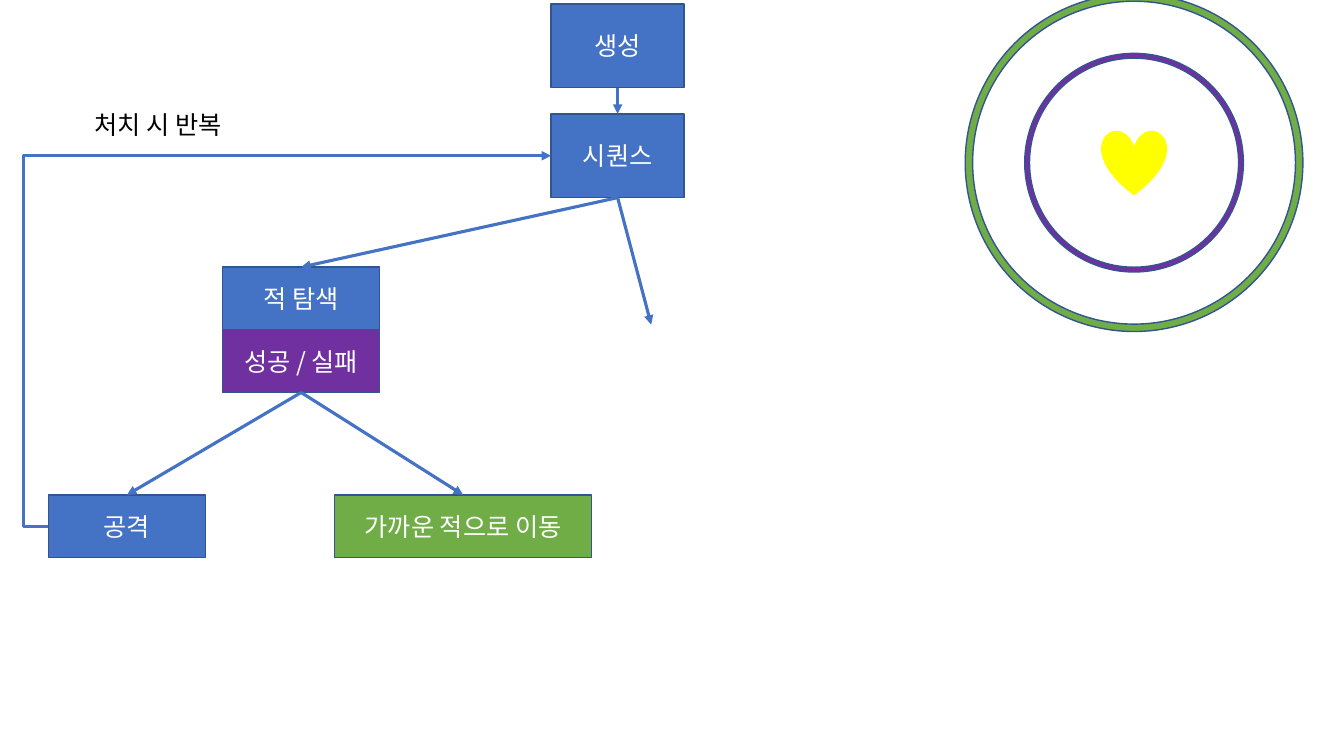
from pptx import Presentation
from pptx.dml.color import RGBColor
from pptx.enum.shapes import MSO_CONNECTOR, MSO_SHAPE
from pptx.enum.text import MSO_ANCHOR, MSO_AUTO_SIZE, PP_ALIGN
from pptx.oxml.ns import qn
from pptx.util import Cm, Pt
from lxml.etree import SubElement

BLUE = RGBColor(0x44, 0x72, 0xC4)
NAVY = RGBColor(0x32, 0x54, 0x91)
PURPLE = RGBColor(0x70, 0x30, 0xA0)
GREEN = RGBColor(0x70, 0xAD, 0x47)
YELLOW = RGBColor(0xFF, 0xFF, 0x00)
WHITE = RGBColor(0xFF, 0xFF, 0xFF)
BLACK = RGBColor(0x00, 0x00, 0x00)
FONT = "Noto Sans CJK KR"

TOP, LEFT, BOTTOM = 0, 1, 2
TALL, FLAT, WIDE = (3.35, 2.11), (3.96, 1.58), (6.48, 1.58)
NODES = {
    "spawn": ("생성", 13.89, 0.1, TALL, BLUE),
    "order": ("시퀀스", 13.89, 2.87, TALL, BLUE),
    "search": ("적 탐색", 5.61, 6.73, FLAT, BLUE),
    "result": ("성공 / 실패", 5.61, 8.31, FLAT, PURPLE),
    "attack": ("공격", 1.22, 12.47, FLAT, BLUE),
    "move": ("가까운 적으로 이동", 8.43, 12.47, WIDE, GREEN),
}
LINKS = [
    ("spawn", "order"),
    ("order", "search"),
    ("result", "attack"),
    ("result", "move"),
]
LABEL = ("처치 시 반복", 2.13, 2.62, 4.17, 1.02)
LOOSE = (16.41, 8.18)
CENTER = (28.58, 4.1)
RANGES = [
    (MSO_SHAPE.HEART, 1.65, YELLOW),
    (MSO_SHAPE.DONUT, 5.51, PURPLE),
    (MSO_SHAPE.DONUT, 8.51, GREEN),
]

deck = Presentation()
deck.slide_width, deck.slide_height = Cm(33.87), Cm(19.05)
shapes = deck.slides.add_slide(deck.slide_layouts[6]).shapes


def write(shape, text, color, align):
    para = shape.text_frame.paragraphs[0]
    para.text = text
    para.alignment = align
    for run in para.runs:
        run.font.size = Pt(18)
        run.font.name = FONT
        run.font.color.rgb = color
        SubElement(run.font._element, qn("a:ea"), typeface=FONT)


def draw(kind, x, y, w, h, fill):
    shape = shapes.add_shape(kind, Cm(x), Cm(y), Cm(w), Cm(h))
    shape.shadow.inherit = False
    shape.fill.solid()
    shape.fill.fore_color.rgb = fill
    shape.line.color.rgb = NAVY
    shape.line.width = Pt(1)
    return shape


def arrow(kind, start, side, end=None, goal=TOP, spot=(0, 0)):
    link = shapes.add_connector(kind, 0, 0, Cm(spot[0]), Cm(spot[1]))
    link.begin_connect(start, side)
    if end is not None:
        link.end_connect(end, goal)
    link.line.color.rgb = BLUE
    link.line.width = Pt(2.25)
    SubElement(link.line._get_or_add_ln(), qn("a:tailEnd"), type="triangle")
    SubElement(link._element.spPr, qn("a:effectLst"))
    return link


boxes = {}
for name, (text, x, y, size, fill) in NODES.items():
    box = draw(MSO_SHAPE.RECTANGLE, x, y, *size, fill)
    box.text_frame.vertical_anchor = MSO_ANCHOR.MIDDLE
    write(box, text, WHITE, PP_ALIGN.CENTER)
    boxes[name] = box

for kind, size, fill in RANGES:
    x, y = (mid - size / 2 for mid in CENTER)
    shape = draw(kind, x, y, size, size, fill)
    if kind == MSO_SHAPE.DONUT:
        shape.adjustments[0] = 0.022
    else:
        shape.line.fill.background()

text, *place = LABEL
label = shapes.add_textbox(*map(Cm, place))
label.text_frame.word_wrap = False
label.text_frame.auto_size = MSO_AUTO_SIZE.SHAPE_TO_FIT_TEXT
write(label, text, BLACK, PP_ALIGN.LEFT)

for start, end in LINKS:
    arrow(MSO_CONNECTOR.STRAIGHT, boxes[start], BOTTOM, boxes[end])
arrow(MSO_CONNECTOR.STRAIGHT, boxes["order"], BOTTOM, spot=LOOSE)

loop = arrow(MSO_CONNECTOR.ELBOW, boxes["attack"], LEFT, boxes["order"], LEFT)
guides = loop._element.spPr.find(qn("a:prstGeom")).get_or_add_avLst()
SubElement(guides, qn("a:gd"), name="adj1", fmla="val -5000")

deck.save("out.pptx")
